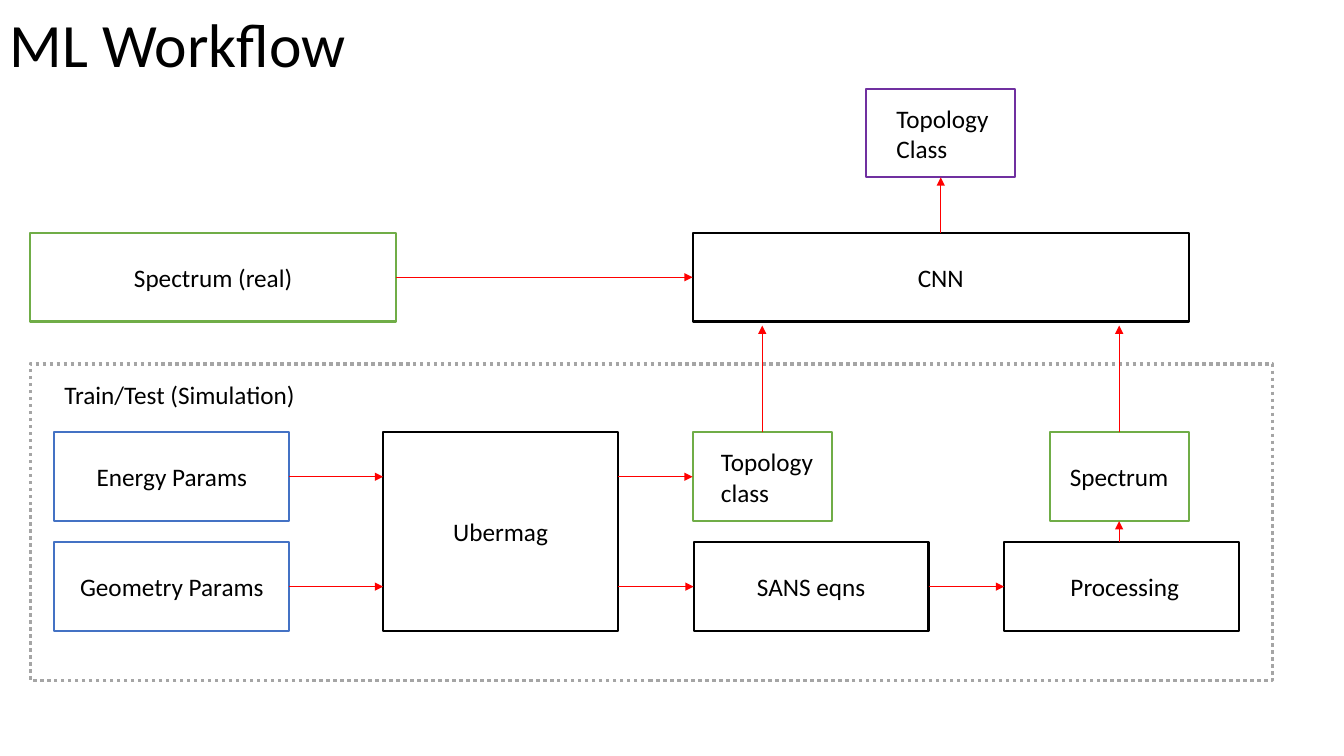
import pptx
import pptx.util
import pptx.dml.color
import pptx.enum.dml
import pptx.enum.shapes
import pptx.enum.text
import pptx.oxml.ns
import lxml.etree

PX = 9144
THEME = {
    "font": "Calibri",
    "text": "000000",
    "input": "4472C4",
    "step": "000000",
    "data": "70AD47",
    "result": "7030A0",
    "frame": "A5A5A5",
    "arrow": "FF0000",
    "title_size": 44,
    "label_size": 18,
    "box_line": 1.5,
    "frame_line": 2.5,
    "arrow_line": 0.5,
}
ALIGN = pptx.enum.text.PP_ALIGN
ANCHOR = pptx.enum.text.MSO_ANCHOR

presentation = pptx.Presentation()
presentation.slide_width = 1333 * PX
presentation.slide_height = 750 * PX
slide = presentation.slides.add_slide(presentation.slide_layouts[6])


def outline(left, top, width, height, role, weight):
    shape = slide.shapes.add_shape(
        pptx.enum.shapes.MSO_SHAPE.RECTANGLE, left * PX, top * PX, width * PX, height * PX)
    shape.shadow.inherit = False
    shape.fill.background()
    shape.line.color.rgb = pptx.dml.color.RGBColor.from_string(THEME[role])
    shape.line.width = pptx.util.Pt(THEME[weight])
    return shape


def write(shape, lines, size, align, anchor, inset=10):
    frame = shape.text_frame
    frame.word_wrap = True
    frame.vertical_anchor = anchor
    frame.margin_left = inset * PX
    frame.margin_right = 10 * PX
    frame.text = lines
    for paragraph in frame.paragraphs:
        paragraph.alignment = align
        paragraph.font.name = THEME["font"]
        paragraph.font.size = pptx.util.Pt(THEME[size])
        paragraph.font.color.rgb = pptx.dml.color.RGBColor.from_string(THEME["text"])


title = slide.shapes.add_textbox(0, 9 * PX, 1150 * PX, 145 * PX)
write(title, "ML Workflow", "title_size", ALIGN.LEFT, ANCHOR.TOP)
title.text_frame.paragraphs[0].line_spacing = 0.9

simulation = outline(30, 361, 1232, 314, "frame", "frame_line")
simulation.line.dash_style = pptx.enum.dml.MSO_LINE.ROUND_DOT
simulation_label = slide.shapes.add_textbox(54 * PX, 371 * PX, 258 * PX, 40 * PX)
write(simulation_label, "Train/Test (Simulation)", "label_size", ALIGN.LEFT, ANCHOR.TOP)

RESULT_Y, MODEL_Y, UPPER_Y, LOWER_Y = 88, 231, 429, 538
ROW_H = 88
stages = {
    "energy": ("Energy Params", 54, UPPER_Y, 233, ROW_H, "input", ALIGN.CENTER, 10),
    "geometry": ("Geometry Params", 54, LOWER_Y, 233, ROW_H, "input", ALIGN.CENTER, 10),
    "ubermag": ("Ubermag", 380, UPPER_Y, 233, LOWER_Y + ROW_H - UPPER_Y, "step", ALIGN.CENTER, 10),
    "sans": ("SANS eqns", 688, LOWER_Y, 233, ROW_H, "step", ALIGN.CENTER, 10),
    "processing": ("Processing", 996, LOWER_Y, 233, ROW_H, "step", ALIGN.CENTER, 16),
    "topology": ("Topology\nclass", 687, UPPER_Y, 138, ROW_H, "data", ALIGN.LEFT, 28),
    "spectrum": ("Spectrum", 1041, UPPER_Y, 138, ROW_H, "data", ALIGN.CENTER, 10),
    "cnn": ("CNN", 687, MODEL_Y, 492, ROW_H, "step", ALIGN.CENTER, 10),
    "real": ("Spectrum (real)", 30, MODEL_Y, 363, ROW_H, "data", ALIGN.CENTER, 10),
    "class": ("Topology\nClass", 859, RESULT_Y, 148, ROW_H, "result", ALIGN.LEFT, 30),
}
boxes = {}
for stage, (label, left, top, width, height, role, align, inset) in stages.items():
    boxes[stage] = outline(left, top, width, height, role, "box_line")
    write(boxes[stage], label, "label_size", align, ANCHOR.MIDDLE, inset)

TOP, LEFT, BOTTOM, RIGHT = range(4)
UPPER_MID, LOWER_MID, MODEL_MID = (y + ROW_H // 2 for y in (UPPER_Y, LOWER_Y, MODEL_Y))
flows = [
    ((287, UPPER_MID), (380, UPPER_MID), ("energy", RIGHT), None),
    ((287, LOWER_MID), (380, LOWER_MID), ("geometry", RIGHT), None),
    ((613, UPPER_MID), (687, UPPER_MID), None, ("topology", LEFT)),
    ((613, LOWER_MID), (688, LOWER_MID), None, ("sans", LEFT)),
    ((921, LOWER_MID), (996, LOWER_MID), ("sans", RIGHT), ("processing", LEFT)),
    ((1110, LOWER_Y), (1110, 517), None, ("spectrum", BOTTOM)),
    ((756, UPPER_Y), (756, 323), ("topology", TOP), None),
    ((1110, UPPER_Y), (1110, 323), ("spectrum", TOP), None),
    ((393, MODEL_MID), (687, MODEL_MID), ("real", RIGHT), ("cnn", LEFT)),
    ((933, MODEL_Y), (933, 176), ("cnn", TOP), ("class", BOTTOM)),
]
for start, end, source, target in flows:
    arrow = slide.shapes.add_connector(
        pptx.enum.shapes.MSO_CONNECTOR.STRAIGHT, *(value * PX for value in start + end))
    if source:
        arrow.begin_connect(boxes[source[0]], source[1])
    if target:
        arrow.end_connect(boxes[target[0]], target[1])
    arrow.line.color.rgb = pptx.dml.color.RGBColor.from_string(THEME["arrow"])
    arrow.line.width = pptx.util.Pt(THEME["arrow_line"])
    properties = arrow.line._get_or_add_ln()
    lxml.etree.SubElement(properties, pptx.oxml.ns.qn("a:tailEnd"), type="triangle")
    lxml.etree.SubElement(properties.getparent(), pptx.oxml.ns.qn("a:effectLst"))

presentation.save("out.pptx")
